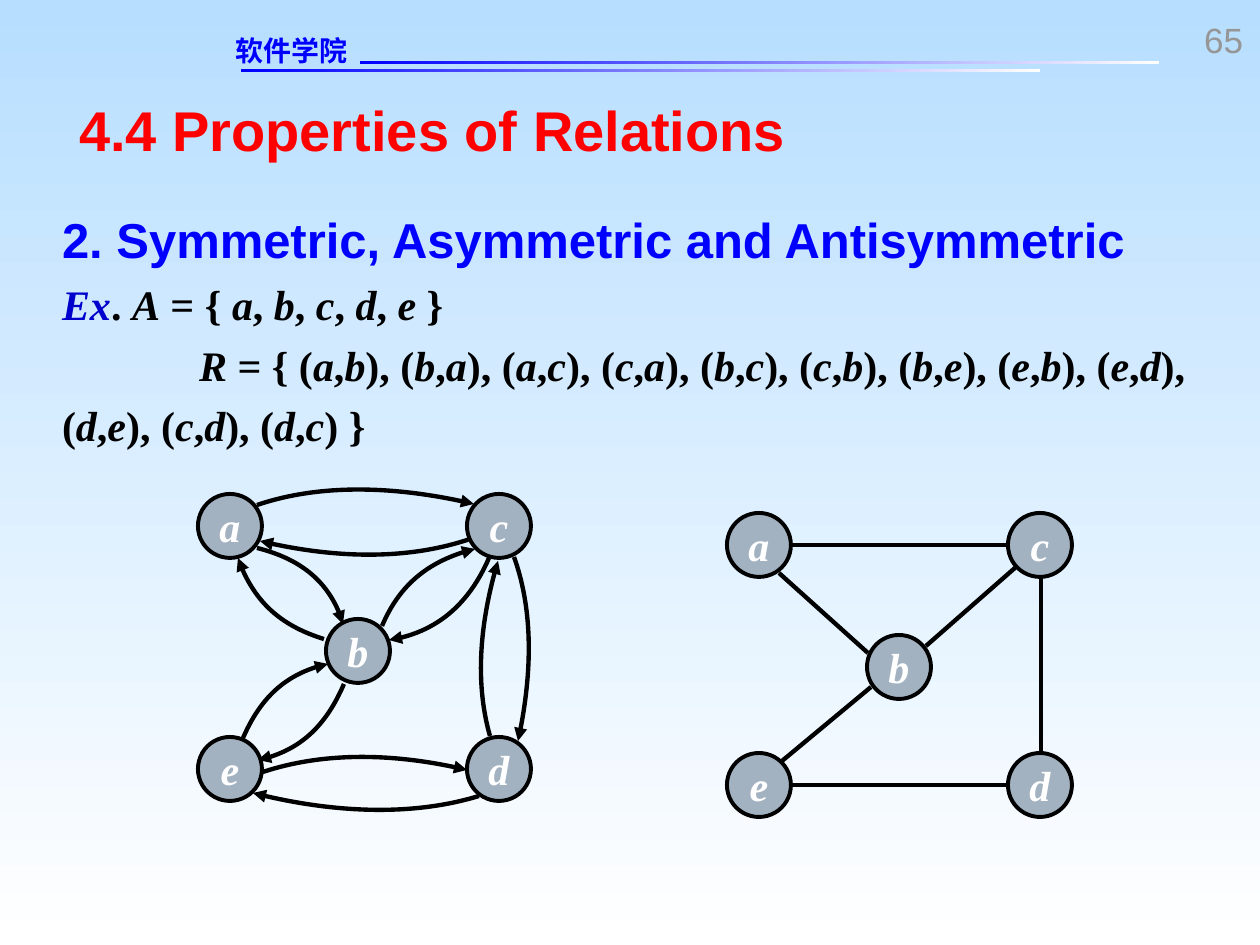
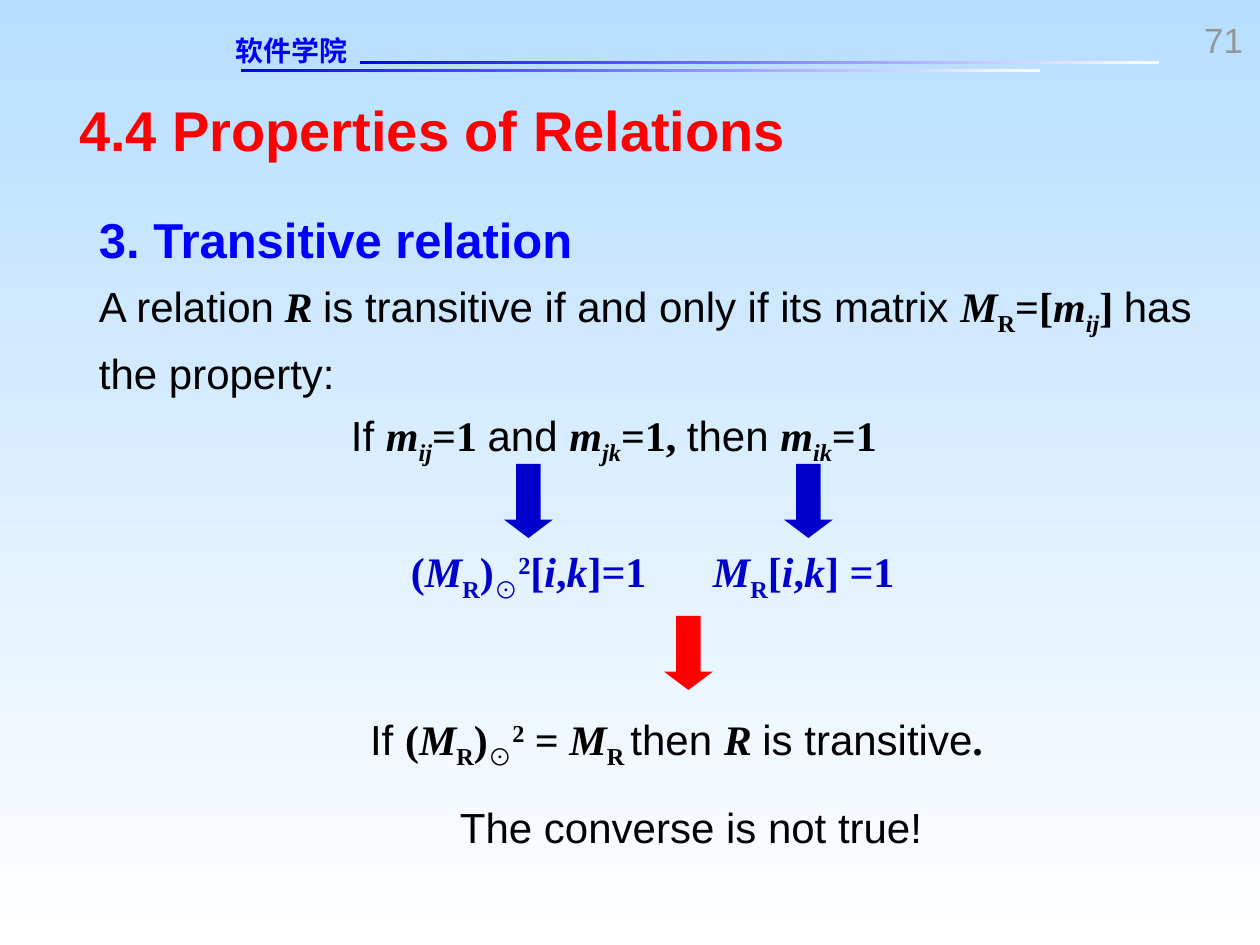
from dataclasses import dataclass, replace

from lxml.etree import SubElement
from pptx import Presentation
from pptx.dml.color import RGBColor
from pptx.enum.shapes import MSO_CONNECTOR as CONNECTOR, MSO_SHAPE as SHAPE
from pptx.enum.text import MSO_ANCHOR as ANCHOR, PP_ALIGN as ALIGN
from pptx.oxml.ns import qn
from pptx.util import Emu, Pt

EMU_PER_PX = 914400 / 126
TITLE_ONLY = 5
BLACK, WHITE, GREY, NODE_GREY = "000000", "FFFFFF", "969696", "A3B2C1"
RED, BRIGHT_BLUE, DEEP_BLUE, SKY = "FF0000", "0000FF", "0000CC", "B7DEFF"


@dataclass(frozen=True)
class RunStyle:
    font: str = "Arial"
    size: int = 24
    color: str = BLACK
    bold: bool = False
    italic: bool = False
    baseline: int = 0


SANS = RunStyle()
SERIF = RunStyle("Times New Roman", bold=True)
ITALIC = replace(SERIF, italic=True)
SUB = replace(SERIF, baseline=-25)
SUB_ITALIC = replace(ITALIC, baseline=-25)
SUPER = replace(SERIF, baseline=30)
TITLE = RunStyle(size=32, color=RED, bold=True)
HEADING = RunStyle(size=28, color=BRIGHT_BLUE, bold=True)
SCHOOL = RunStyle("DejaVu Sans", 16, BRIGHT_BLUE, bold=True)
PAGE = RunStyle(size=20, color=GREY)
NODE = replace(ITALIC, color=WHITE)


def px(length):
    return Emu(round(length * EMU_PER_PX))


def rgb(color):
    return RGBColor.from_string(color)


def recolor(runs, color):
    return [(text, replace(style, color=color)) for text, style in runs]


def math_runs(formula):
    return [(char, ITALIC if char.isalpha() else SERIF) for char in formula]


def entry(indices):
    return [("m", ITALIC), (indices, SUB_ITALIC)]


class Deck:
    def __init__(self):
        self.prs = Presentation()
        self.prs.slide_width, self.prs.slide_height = px(1260), px(945)
        self.gradient(self.prs.slide_master.background.fill, SKY, WHITE, 270)
        self.slide = None

    def gradient(self, fill, first, last, angle):
        fill.gradient()
        fill.gradient_angle = angle
        for stop, color in zip(fill.gradient_stops, (first, last)):
            stop.color.rgb = rgb(color)

    def new_slide(self, title, page):
        self.slide = self.prs.slides.add_slide(self.prs.slide_layouts[TITLE_ONLY])
        for left, top in ((241, 69), (360, 61)):
            self.bar(left, top, 799, 3)
        self.text((236, 34, 183, 34), [[("软件学院", SCHOOL)]], spacing=1)
        self.text((1149, 18, 94, 42), [[(page, PAGE)]], spacing=1, align=ALIGN.RIGHT)
        heading = self.slide.shapes.title
        heading.left, heading.top, heading.width, heading.height = map(px, (79, 95, 1128, 67))
        self.fill_frame(heading.text_frame, [[(title, TITLE)]], spacing=1)

    def bar(self, *box):
        rule = self.shape(SHAPE.RECTANGLE, box)
        self.gradient(rule.fill, BRIGHT_BLUE, WHITE, 0)

    def shape(self, kind, box, color=None):
        shape = self.slide.shapes.add_shape(kind, *map(px, box))
        shape.shadow.inherit = False
        shape.line.fill.background()
        if color:
            shape.fill.solid()
            shape.fill.fore_color.rgb = rgb(color)
        return shape

    def stroke(self, line, width):
        line.color.rgb = rgb(BLACK)
        line.width = Pt(width)

    def add_runs(self, paragraph, runs):
        for text, style in runs:
            run = paragraph.add_run()
            run.text = text
            font = run.font
            font.name, font.size = style.font, Pt(style.size)
            font.bold, font.italic = style.bold, style.italic
            font.color.rgb = rgb(style.color)
            if style.baseline:
                run._r.get_or_add_rPr().set("baseline", str(style.baseline * 1000))

    def fill_frame(self, frame, paragraphs, spacing=1.2, align=ALIGN.LEFT, indents=None):
        frame.word_wrap = True
        frame.vertical_anchor = ANCHOR.TOP
        frame.margin_left = frame.margin_right = frame.margin_top = frame.margin_bottom = 0
        for index, runs in enumerate(paragraphs):
            paragraph = frame.add_paragraph() if index else frame.paragraphs[0]
            paragraph.alignment = align
            paragraph.line_spacing = spacing
            if indents and index in indents:
                paragraph._p.get_or_add_pPr().set("indent", str(px(indents[index])))
            self.add_runs(paragraph, runs)

    def text(self, box, paragraphs, **layout):
        frame = self.slide.shapes.add_textbox(*map(px, box)).text_frame
        self.fill_frame(frame, paragraphs, **layout)

    def node(self, label, left, top):
        circle = self.shape(SHAPE.OVAL, (left, top, 64, 64), NODE_GREY)
        self.stroke(circle.line, 2.25)
        frame = circle.text_frame
        frame.word_wrap = False
        frame.vertical_anchor = ANCHOR.MIDDLE
        frame.paragraphs[0].alignment = ALIGN.CENTER
        self.add_runs(frame.paragraphs[0], [(label, NODE)])

    def curved_arrow(self, start, *bends_and_tip):
        builder = self.slide.shapes.build_freeform(*start, scale=EMU_PER_PX)
        builder.add_line_segments(bends_and_tip, close=False)
        arc = builder.convert_to_shape()
        curve, *rest = list(arc._element.iter(qn("a:lnTo")))
        curve.tag = qn("a:cubicBezTo")
        for segment in rest:
            curve.append(segment[0])
            segment.getparent().remove(segment)
        arc.shadow.inherit = False
        arc.fill.background()
        self.stroke(arc.line, 2.5)
        SubElement(arc.line._get_or_add_ln(), qn("a:tailEnd"), type="triangle")

    def edge(self, *ends):
        link = self.slide.shapes.add_connector(CONNECTOR.STRAIGHT, *map(px, ends))
        self.stroke(link.line, 2.5)
        SubElement(link._element.spPr, qn("a:effectLst"))

    def down_arrow(self, left, top, color):
        arrow = self.shape(SHAPE.DOWN_ARROW, (left, top, 49, 74), color)
        arrow.adjustments[0], arrow.adjustments[1] = 0.5, 0.375


SECTION = "4.4 Properties of Relations"
PAIRS = "ab ba ac ca bc cb be eb ed de cd dc".split()
DIGRAPH_NODES = {"a": (198, 494), "c": (467, 494), "b": (326, 619),
                 "d": (467, 737), "e": (198, 737)}
GRAPH_NODES = {"a": (727, 513), "c": (1008, 513), "b": (867, 635),
               "d": (1008, 753), "e": (727, 753)}
DIGRAPH_ARROWS = {
    "ab": ((257, 548), (301, 559), (333, 587), (343, 624)),
    "ba": ((324, 639), (282, 626), (252, 599), (238, 558)),
    "ac": ((257, 505), (316, 485), (394, 485), (474, 504)),
    "ca": ((470, 539), (411, 559), (335, 559), (260, 541)),
    "bc": ((382, 626), (399, 586), (432, 559), (475, 549)),
    "cb": ((489, 558), (469, 604), (432, 634), (389, 640)),
    "be": ((344, 684), (326, 726), (295, 753), (258, 760)),
    "eb": ((243, 738), (260, 699), (289, 672), (328, 664)),
    "ed": ((257, 774), (316, 753), (392, 752), (467, 770)),
    "de": ((479, 796), (417, 815), (335, 814), (253, 793)),
    "cd": ((514, 557), (532, 607), (533, 673), (518, 741)),
    "dc": ((490, 736), (476, 687), (479, 624), (498, 561)),
}
GRAPH_EDGES = {
    "ac": (791, 545, 1009, 545),
    "ed": (791, 785, 1009, 785),
    "dc": (1041, 755, 1041, 576),
    "ba": (868, 653, 779, 573),
    "bc": (926, 646, 1016, 567),
    "eb": (782, 761, 871, 687),
}
MATRIX = [("M", ITALIC), ("R", SUB)]
BOOLEAN_SQUARE = [("(", SERIF), *MATRIX, (")", SERIF), ("⊙", SUB), ("2", SUPER)]


def symmetric_slide(deck):
    deck.new_slide(SECTION, "65")
    relation = ", ".join(f"({first},{second})" for first, second in PAIRS)
    deck.text((62, 198, 1138, 252), [
        [("2. Symmetric, Asymmetric and Antisymmetric", HEADING)],
        recolor([("Ex", ITALIC)], DEEP_BLUE) + math_runs(". A = { a, b, c, d, e }"),
        math_runs(f"R = {{ {relation} }}"),
    ], indents={2: 137})
    for pair in PAIRS:
        deck.curved_arrow(*DIGRAPH_ARROWS[pair])
    for nodes in (DIGRAPH_NODES, GRAPH_NODES):
        for label, corner in nodes.items():
            deck.node(label, *corner)
    for ends in GRAPH_EDGES.values():
        deck.edge(*ends)


def transitive_slide(deck):
    deck.new_slide(SECTION, "71")
    deck.text((99, 198, 1097, 268), [
        [("3. Transitive relation", HEADING)],
        [("A relation", SANS), (" R ", ITALIC),
         ("is transitive if and only if its matrix ", SANS), *MATRIX,
         ("=[", SERIF), *entry("ij"), ("] ", SERIF), ("has the property:", SANS)],
        [("If ", SANS), *entry("ij"), ("=1 ", SERIF), ("and ", SANS), *entry("jk"),
         ("=1, ", SERIF), ("then ", SANS), *entry("ik"), ("=1", SERIF)],
    ], indents={2: 252})
    for left, runs in ((411, BOOLEAN_SQUARE + math_runs("[i,k]=1")),
                       (713, MATRIX + math_runs("[i,k] =1"))):
        deck.text((left, 534, 248, 69), [recolor(runs, DEEP_BLUE)])
    for left, top, color in ((504, 464, DEEP_BLUE), (784, 464, DEEP_BLUE), (664, 616, RED)):
        deck.down_arrow(left, top, color)
    deck.text((370, 702, 636, 69), [
        [("If ", SANS), *BOOLEAN_SQUARE, (" = ", SERIF), ("M", ITALIC), ("R ", SUB),
         ("then ", SANS), ("R ", ITALIC), ("is transitive", SANS), (".", SERIF)],
    ])
    deck.text((460, 791, 505, 60), [[("The converse is not true!", SANS)]])


def main():
    deck = Deck()
    symmetric_slide(deck)
    transitive_slide(deck)
    deck.prs.save("out.pptx")


if __name__ == "__main__":
    main()
